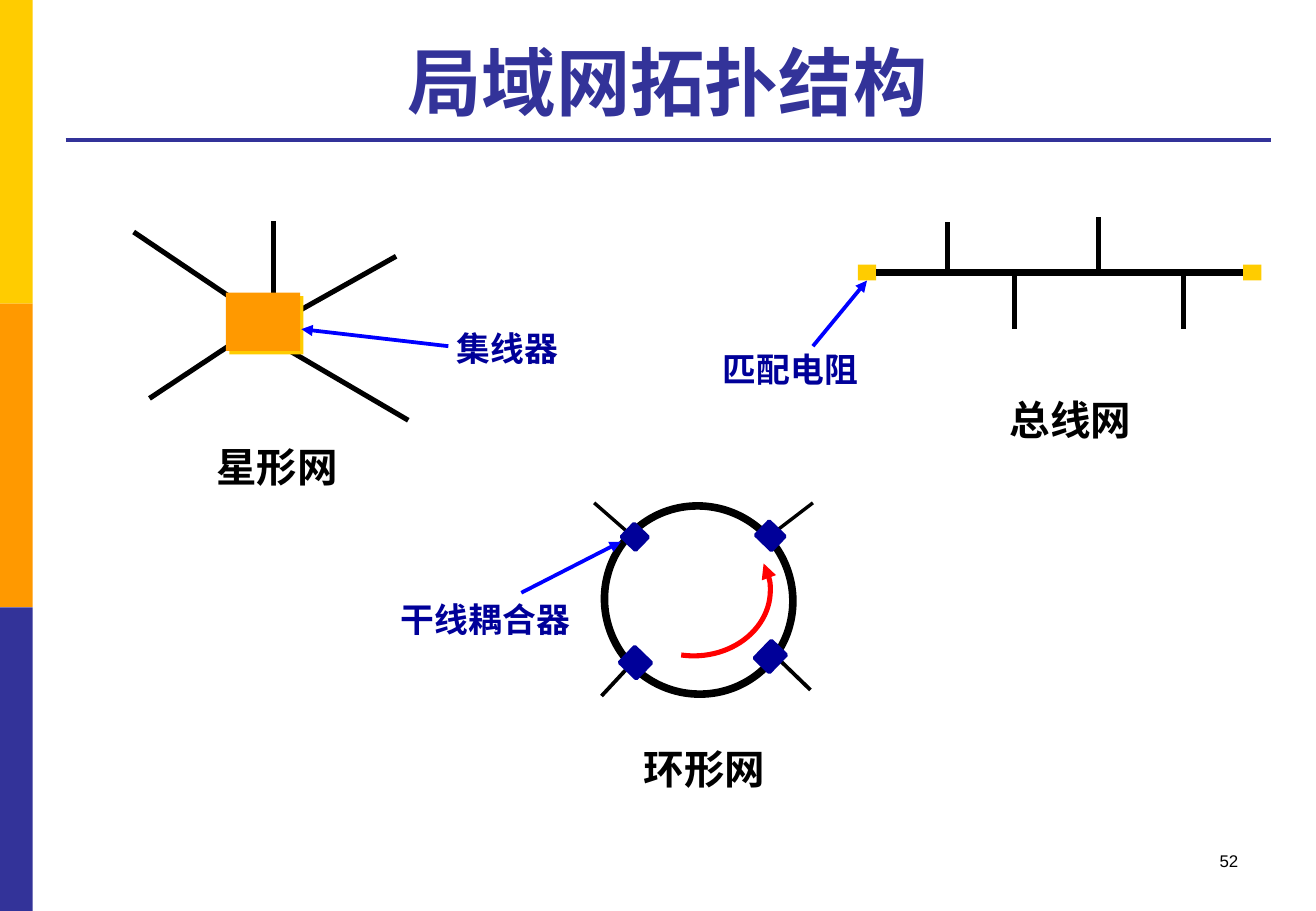
import dataclasses

import lxml.etree
import pptx
import pptx.dml.color
import pptx.enum.shapes
import pptx.enum.text
import pptx.oxml.ns
import pptx.util

COLUMNS, ROWS = 108.3, 75
CELL = pptx.util.Inches(0.1)
SHAPE = pptx.enum.shapes.MSO_SHAPE
ALIGN = pptx.enum.text.PP_ALIGN
qn = pptx.oxml.ns.qn


@dataclasses.dataclass(frozen=True)
class Theme:
    yellow: str = "FFCC00"
    orange: str = "FF9900"
    indigo: str = "333399"
    navy: str = "000099"
    blue: str = "0000FF"
    red: str = "FF0000"
    black: str = "000000"
    white: str = "FFFFFF"
    latin: str = "Arial"
    serif: str = "Times New Roman"
    cjk: str = "Noto Sans CJK SC"
    title: int = 44
    caption: int = 24
    callout: int = 20
    number: int = 10
    thin: float = 2
    medium: float = 2.25
    thick: float = 3
    heavy: float = 4.5


THEME = Theme()


def cells(*values):
    return [round(v * CELL) for v in values]


def rgb(value):
    return pptx.dml.color.RGBColor.from_string(value)


def set_line(sp, color, width, arrow=False):
    sp.line.color.rgb = rgb(color)
    sp.line.width = pptx.util.Pt(width)
    if arrow:
        ln = sp.element.spPr.find(qn("a:ln"))
        lxml.etree.SubElement(ln, qn("a:headEnd"), type="triangle")


def write(sp, text, size, color=THEME.black, font=THEME.latin, bold=True,
          align=ALIGN.LEFT, wrap=False):
    tf = sp.text_frame
    tf.word_wrap = wrap
    tf.auto_size = pptx.enum.text.MSO_AUTO_SIZE.NONE
    p = tf.paragraphs[0]
    p.alignment = align
    r = p.add_run()
    r.text = text
    r.font.size = pptx.util.Pt(size)
    r.font.bold = bold
    r.font.color.rgb = rgb(color)
    r.font.name = font
    lxml.etree.SubElement(r.font._element, qn("a:ea"), typeface=THEME.cjk)


def add_text(s, box, text, size, **style):
    write(s.shapes.add_textbox(*cells(*box)), text, size, **style)


def add_caption(s, box, text):
    add_text(s, box, text, THEME.caption, font=THEME.cjk)


def add_callout(s, box, text, **style):
    add_text(s, box, text, THEME.callout, color=THEME.navy, **style)


def add_shape(s, kind, box, fill=None, line=None, width=0, rotation=0):
    sp = s.shapes.add_shape(kind, *cells(*box))
    sp.shadow.inherit = False
    sp.rotation = rotation
    if fill:
        sp.fill.solid()
        sp.fill.fore_color.rgb = rgb(fill)
    else:
        sp.fill.background()
    if line:
        set_line(sp, line, width)
    else:
        sp.line.fill.background()
    return sp


def add_line(s, start, end, width, color=THEME.black, arrow=False):
    c = s.shapes.add_connector(pptx.enum.shapes.MSO_CONNECTOR.STRAIGHT,
                               *cells(*start, *end))
    set_line(c, color, width, arrow)
    lxml.etree.SubElement(c.element.spPr, qn("a:effectLst"))
    return c


def add_pointer(s, tip, end):
    return add_line(s, tip, end, THEME.medium, THEME.blue, arrow=True)


def add_hard_shadow(sp, color):
    effects = sp.element.spPr.find(qn("a:effectLst"))
    shadow = lxml.etree.SubElement(
        effects, qn("a:outerShdw"), dist=str(pptx.util.Pt(2.8)),
        dir=str(45 * 60000), algn="ctr", rotWithShape="0")
    lxml.etree.SubElement(shadow, qn("a:srgbClr"), val=color)


def add_frame(s):
    band = ROWS / 3
    for i, color in enumerate((THEME.yellow, THEME.orange, THEME.indigo)):
        add_shape(s, SHAPE.RECTANGLE, (0, i * band, 2.7, band), color)
    add_line(s, (5.4, 11.5), (104.6, 11.5), THEME.medium, THEME.indigo)
    title = s.shapes.title
    title.left, title.top, title.width, title.height = cells(5.4, 2.1, 99.1, 8.7)
    title.text_frame.vertical_anchor = pptx.enum.text.MSO_ANCHOR.BOTTOM
    write(title, "局域网拓扑结构", THEME.title, color=THEME.indigo,
          align=ALIGN.CENTER, wrap=True)
    add_text(s, (77.6, 69.5, 25.3, 5), "52", THEME.number, bold=False,
             align=ALIGN.RIGHT, wrap=True)


def add_ring_network(s):
    tilt = 314
    for start, end, width in (
            ((52.1, 44.2), (48.9, 41.4), THEME.thin),
            ((66.9, 41.4), (63.5, 44), THEME.thin),
            ((66.7, 56.8), (63.7, 53.9), THEME.medium),
            ((52.2, 54.4), (49.5, 57.3), THEME.medium)):
        add_line(s, start, end, width)
    add_shape(s, SHAPE.OVAL, (49.8, 41.6, 15.4, 15.6), THEME.white,
              THEME.black, THEME.heavy, tilt)
    for box in ((51.5, 43.4, 1.5, 1.6), (62.4, 53.2, 2, 1.7),
                (62.6, 43.2, 1.6, 1.8), (51.4, 53.6, 1.8, 1.9)):
        add_shape(s, SHAPE.RECTANGLE, box, THEME.navy, THEME.navy,
                  THEME.medium, tilt)
    flow = add_shape(s, SHAPE.ARC, (50.8, 43.2, 12.6, 10.8))
    for i, degrees in enumerate((339, 101)):
        flow.adjustments[i] = degrees * 0.6
    set_line(flow, THEME.red, THEME.thick, arrow=True)
    add_pointer(s, (51.1, 44.6), (42.9, 48.8))
    add_callout(s, (30.5, 48.8, 17.4, 4.3), "干线耦合器", font=THEME.serif,
                align=ALIGN.RIGHT, wrap=True)
    add_caption(s, (52, 60.8, 12.2, 5.1), "环形网")


def add_star_network(s):
    for start, end in (((19.9, 25.1), (11, 19.1)), ((22.5, 25.1), (22.5, 18.2)),
                       ((19.4, 28.1), (12.3, 32.8)), ((22.5, 28.1), (33.6, 34.6)),
                       ((23.7, 26.1), (32.6, 21.1))):
        add_line(s, start, end, THEME.thick)
    hub = add_shape(s, SHAPE.RECTANGLE, (18.6, 24.1, 6.1, 4.8), THEME.orange)
    add_hard_shadow(hub, THEME.yellow)
    add_pointer(s, (24.8, 27.1), (36.9, 28.5))
    add_callout(s, (36.6, 26.5, 10.5, 4.3), "集线器", font=THEME.serif)
    add_caption(s, (16.8, 35.9, 12.2, 5), "星形网")


def add_bus_network(s):
    axis = 22.4
    left, right = [add_shape(s, SHAPE.RECTANGLE, (x, 21.8, 1.5, 1.3), THEME.yellow)
                   for x in (70.6, 102.3)]
    bus = add_line(s, (72.1, axis), (102.3, axis), THEME.heavy)
    bus.begin_connect(left, 3)
    bus.end_connect(right, 1)
    for x, end in ((78, 18.3), (83.5, 27.1), (90.4, 17.9), (97.4, 27.1)):
        add_line(s, (x, axis), (x, end), THEME.thick)
    pointer = add_pointer(s, (71.3, 23.1), (66.9, 28.5))
    pointer.begin_connect(left, 2)
    add_callout(s, (58.5, 28.2, 13.3, 4.3), "匹配电阻")
    add_caption(s, (82.1, 32, 12.2, 5.1), "总线网")


def main():
    prs = pptx.Presentation()
    prs.slide_width, prs.slide_height = cells(COLUMNS, ROWS)
    s = prs.slides.add_slide(prs.slide_layouts[5])
    add_frame(s)
    add_ring_network(s)
    add_star_network(s)
    add_bus_network(s)
    prs.save("out.pptx")


if __name__ == "__main__":
    main()
